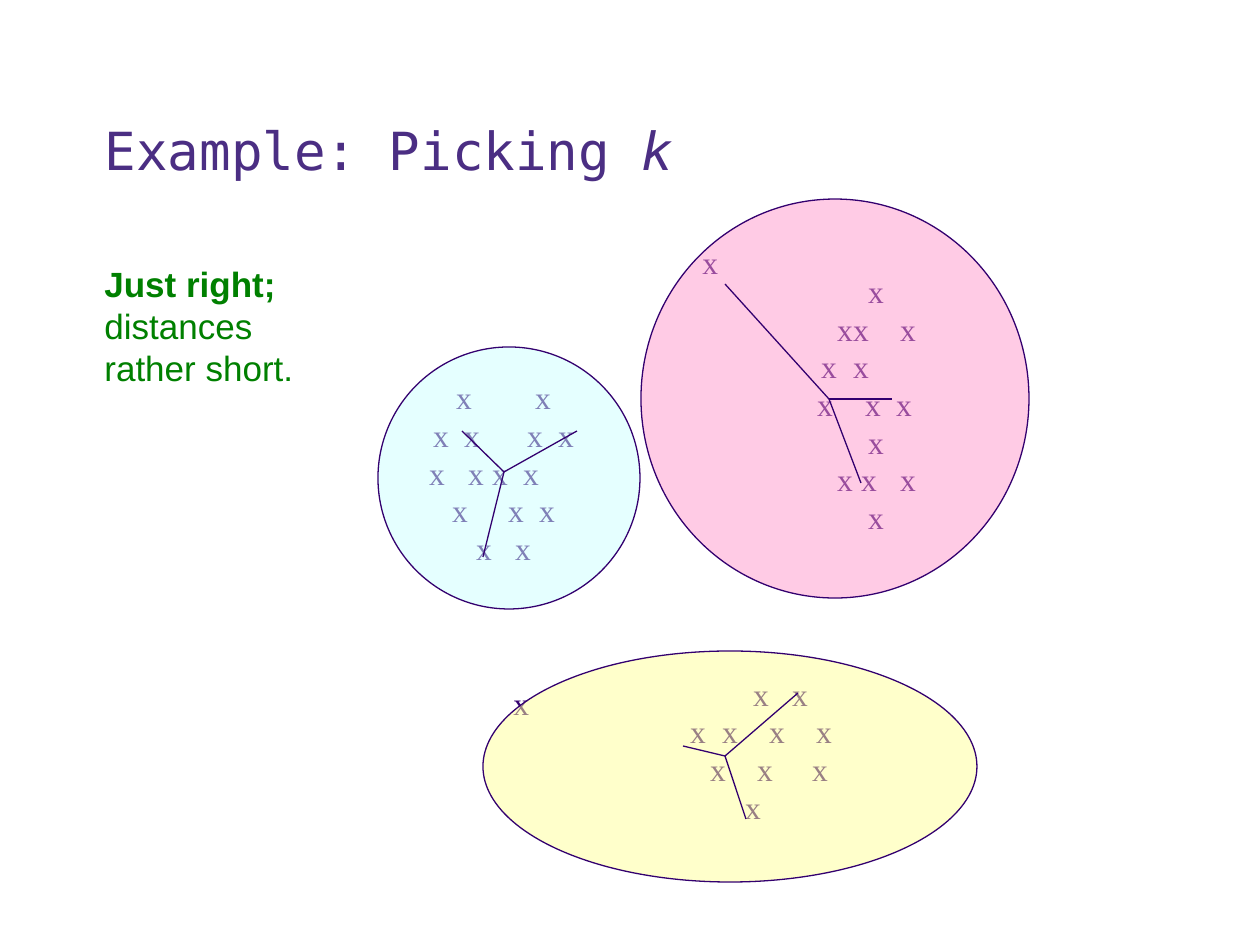
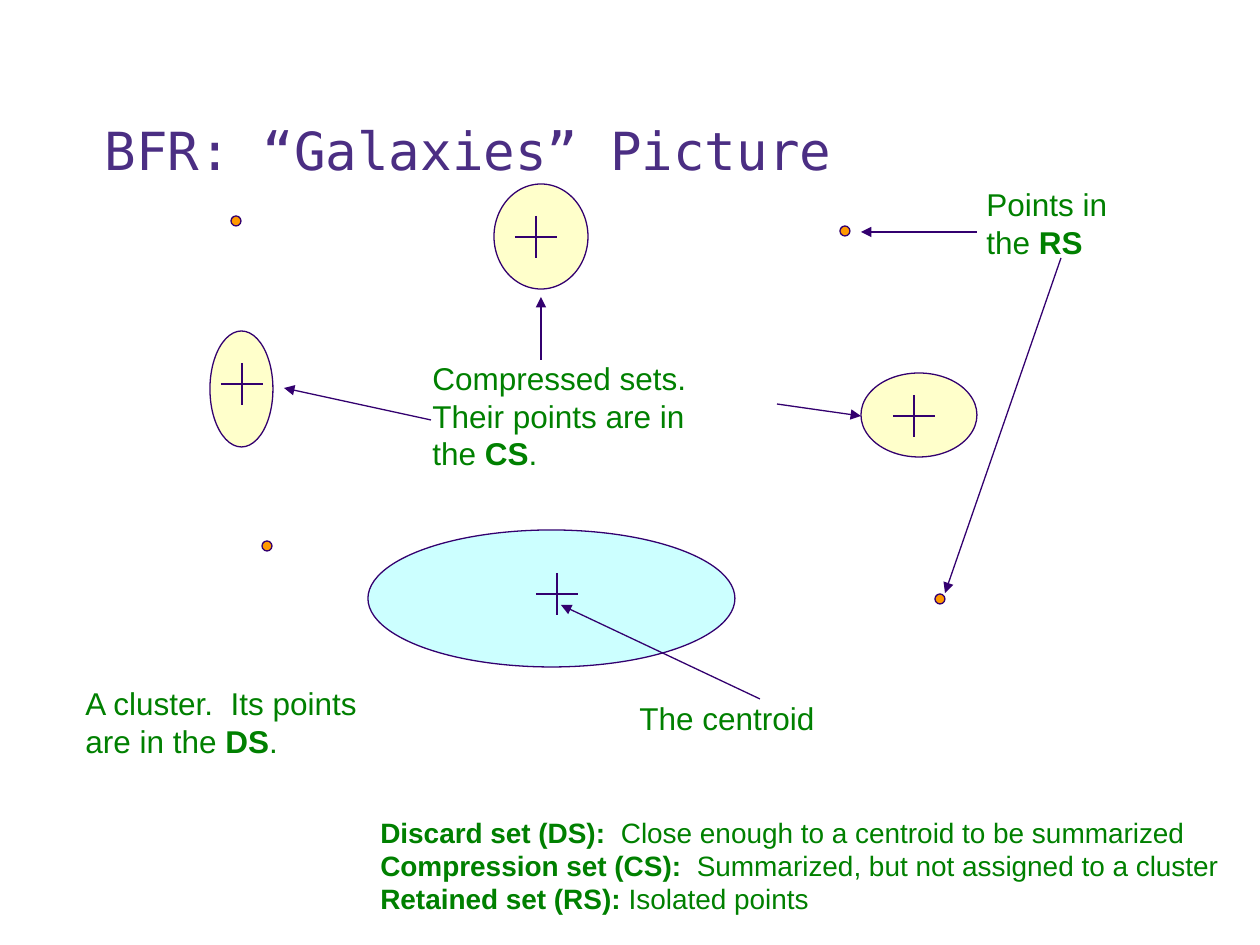
from dataclasses import dataclass

from lxml.etree import SubElement
from pptx import Presentation
from pptx.dml.color import RGBColor
from pptx.enum.shapes import MSO_CONNECTOR, MSO_SHAPE
from pptx.enum.text import MSO_ANCHOR as Anchor, MSO_AUTO_SIZE as AutoSize, PP_ALIGN as Align
from pptx.oxml.ns import qn
from pptx.util import Emu, Pt


# Theme: colours, fonts and type sizes shared by both slides
@dataclass(frozen=True)
class Theme:
    title: str = "4B2E83"
    ink: str = "33006F"
    label: str = "008000"
    yellow: str = "FFFF99"
    cyan: str = "CCFFFF"
    pink: str = "FF99CC"
    orange: str = "FF9900"
    title_font: str = "DejaVu Sans Mono"
    label_font: str = "Arial"
    point_font: str = "Times New Roman"
    title_size: int = 30
    lead_size: int = 20
    body_size: int = 18
    note_size: int = 16
    line_width: float = 0.75
    leading: float = 1.195


THEME = Theme()
PX_PER_INCH = 126
TITLE_BOX = (92, 52, 1128, 136)
CROSS_ARM = 21
DOT_SIZE = 10
BOLD, ITALIC = "bold", "italic"


def px(length):
    return Emu(round(length * 914400 / PX_PER_INCH))


def rgb(colour):
    return RGBColor.from_string(colour)


# Text
def add_span(para, text, font, size, colour, style=None):
    span = para.add_run()
    span.text = text
    span.font.name = font
    span.font.size = Pt(size)
    span.font.color.rgb = rgb(colour)
    span.font.bold = style == BOLD
    span.font.italic = style == ITALIC


def add_para(frame, index, size):
    para = frame.add_paragraph() if index else frame.paragraphs[0]
    para.alignment = Align.LEFT
    para.line_spacing = Pt(size * THEME.leading)
    return para


def add_title_page(deck, *spans):
    page = deck.slides.add_slide(deck.slide_layouts[5])
    title = page.shapes.title
    title.left, title.top, title.width, title.height = map(px, TITLE_BOX)
    frame = title.text_frame
    frame.auto_size = AutoSize.NONE
    frame.vertical_anchor = Anchor.BOTTOM
    para = frame.paragraphs[0]
    para.alignment = Align.LEFT
    para.line_spacing = 0.9
    for text, *style in spans:
        add_span(para, text, THEME.title_font, THEME.title_size, THEME.title, *style)
    return page


def add_label(page, bounds, lines, size=THEME.body_size, font=THEME.label_font,
              colour=THEME.label, wrap=False):
    """Each line is a list of (text, style) spans; the style may be left out."""
    frame = page.shapes.add_textbox(*map(px, bounds)).text_frame
    frame.word_wrap = wrap
    for index, line in enumerate(lines):
        para = add_para(frame, index, size)
        for text, *style in line:
            add_span(para, text, font, size, colour, *style)


def add_point(page, left, top):
    add_label(page, (left, top, 47, 63), [[("x",)]],
              font=THEME.point_font, colour=THEME.ink)


def add_scatter(page, bounds, rows):
    """Rows of x marks, each mark centred on a tab stop at its page position."""
    frame = page.shapes.add_textbox(*map(px, bounds)).text_frame
    frame.word_wrap = True
    frame.vertical_anchor = Anchor.MIDDLE
    frame.margin_left = frame.margin_right = 0
    for index, centres in enumerate(rows):
        para = add_para(frame, index, THEME.body_size)
        stops = SubElement(para._p.get_or_add_pPr(), qn("a:tabLst"))
        for centre in centres:
            SubElement(stops, qn("a:tab"), pos=str(px(centre - bounds[0])), algn="ctr")
            add_span(para, "\tx", THEME.point_font, THEME.body_size, THEME.ink)


# Shapes and lines
def add_ellipse(page, bounds, colour, alpha=None):
    oval = page.shapes.add_shape(MSO_SHAPE.OVAL, *map(px, bounds))
    oval.shadow.inherit = False
    oval.fill.solid()
    oval.fill.fore_color.rgb = rgb(colour)
    oval.line.color.rgb = rgb(THEME.ink)
    oval.line.width = Pt(THEME.line_width)
    if alpha:
        tint = oval._element.spPr.find(qn("a:solidFill")).find(qn("a:srgbClr"))
        SubElement(tint, qn("a:alpha"), val=str(alpha * 1000))


def add_line(page, start, end, arrow=False):
    line = page.shapes.add_connector(MSO_CONNECTOR.STRAIGHT, *map(px, start + end))
    line.line.color.rgb = rgb(THEME.ink)
    line.line.width = Pt(THEME.line_width)
    properties = line._element.spPr
    if arrow:
        SubElement(properties.find(qn("a:ln")), qn("a:tailEnd"), type="triangle")
    SubElement(properties, qn("a:effectLst"))


def add_spokes(page, centroid, ends):
    for end in ends:
        add_line(page, centroid, end)


def add_cross(page, x, y):
    add_line(page, (x, y - CROSS_ARM), (x, y + CROSS_ARM))
    add_line(page, (x - CROSS_ARM, y), (x + CROSS_ARM, y))


# Slide 1: three clusters with distances to their centroids
def build_picking_k(deck):
    page = add_title_page(deck, ("Example: Picking ",), ("k", ITALIC))

    add_scatter(page, (378, 315, 252, 315), [
        (464, 543), (441, 472, 535, 566), (437, 476, 500, 531),
        (460, 516, 547), (484, 523)])
    add_scatter(page, (756, 210, 242, 388), [
        (876,), (845, 861, 908), (829, 861), (825, 873, 904),
        (876,), (845, 869, 908), (876,)])
    add_scatter(page, (640, 640, 262, 220), [
        (761, 800), (698, 730, 777, 824), (718, 765, 820), (753,)])
    add_point(page, 690, 237)
    add_point(page, 501, 678)

    for bounds, colour in [
        ((483, 651, 494, 231), THEME.yellow),
        ((378, 347, 262, 262), THEME.cyan),
        ((641, 199, 388, 399), THEME.pink),
    ]:
        add_ellipse(page, bounds, colour, alpha=50)

    add_spokes(page, (504, 472), [(462, 431), (577, 431), (483, 557)])
    add_spokes(page, (725, 756), [(683, 746), (798, 693), (746, 819)])
    add_spokes(page, (829, 399), [(725, 284), (892, 399), (861, 483)])

    add_label(page, (92, 257, 215, 140), [
        [("Just right;", BOLD)], [("distances",)], [("rather short.",)],
    ], size=THEME.lead_size)


# Slide 2: discard, compression and retained sets
def build_galaxies(deck):
    page = add_title_page(deck, ("BFR: “Galaxies” Picture",))

    # Cluster and its centroid
    add_ellipse(page, (368, 530, 367, 137), THEME.cyan)
    add_label(page, (73, 678, 300, 89), [
        [("A cluster.  Its points",)],
        [("are in the ",), ("DS", BOLD), (".",)]])
    add_cross(page, 557, 594)
    add_label(page, (627, 693, 202, 50), [[("The centroid",)]])
    add_line(page, (760, 699), (561, 605), arrow=True)

    # Compressed sets
    for bounds, centre in [
        ((210, 331, 63, 116), (242, 384)),
        ((861, 373, 116, 84), (914, 416)),
        ((494, 184, 94, 105), (536, 237)),
    ]:
        add_ellipse(page, bounds, THEME.yellow, alpha=50)
        add_cross(page, *centre)
    add_label(page, (420, 353, 282, 127), [
        [("Compressed sets.",)],
        [("Their points are in",)],
        [("the ",), ("CS", BOLD), (".",)]])
    for start, end in [((431, 420), (284, 388)), ((541, 360), (541, 297)),
                       ((777, 404), (861, 416))]:
        add_line(page, start, end, arrow=True)

    # Retained points
    for left, top in [(231, 216), (262, 541), (935, 594), (840, 226)]:
        add_ellipse(page, (left, top, DOT_SIZE, DOT_SIZE), THEME.orange)
    add_label(page, (974, 179, 147, 89), [
        [("Points in",)], [("the ",), ("RS", BOLD)]])
    for start, end in [((977, 232), (861, 232)), ((1061, 258), (945, 593))]:
        add_line(page, start, end, arrow=True)

    # Definitions
    add_label(page, (368, 809, 882, 115), [
        [("Discard set (DS):", BOLD), ("  Close enough to a centroid to be summarized",)],
        [("Compression set (CS):", BOLD), ("  Summarized, but not assigned to a cluster",)],
        [("Retained set (RS):", BOLD), (" Isolated points",)],
    ], size=THEME.note_size, wrap=True)


def main():
    deck = Presentation()
    deck.slide_width, deck.slide_height = px(1260), px(945)
    build_picking_k(deck)
    build_galaxies(deck)
    deck.save("out.pptx")


if __name__ == "__main__":
    main()
